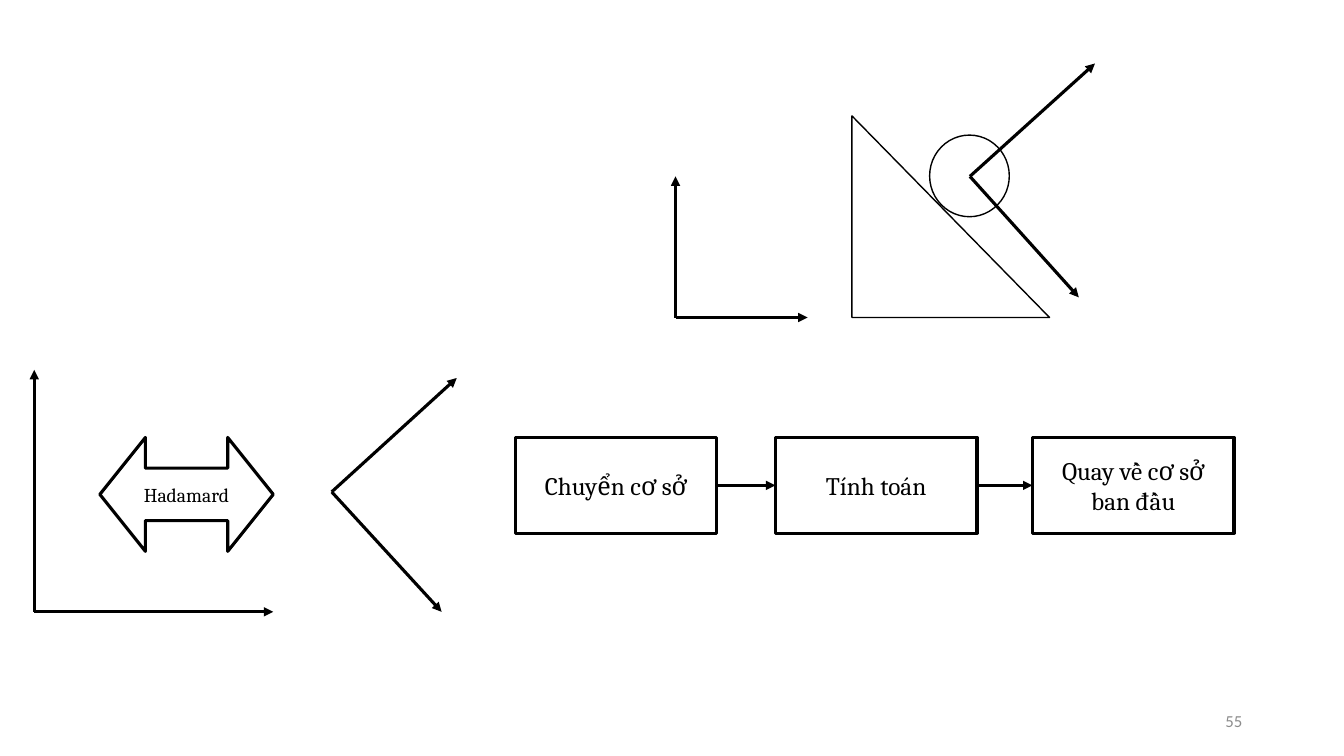
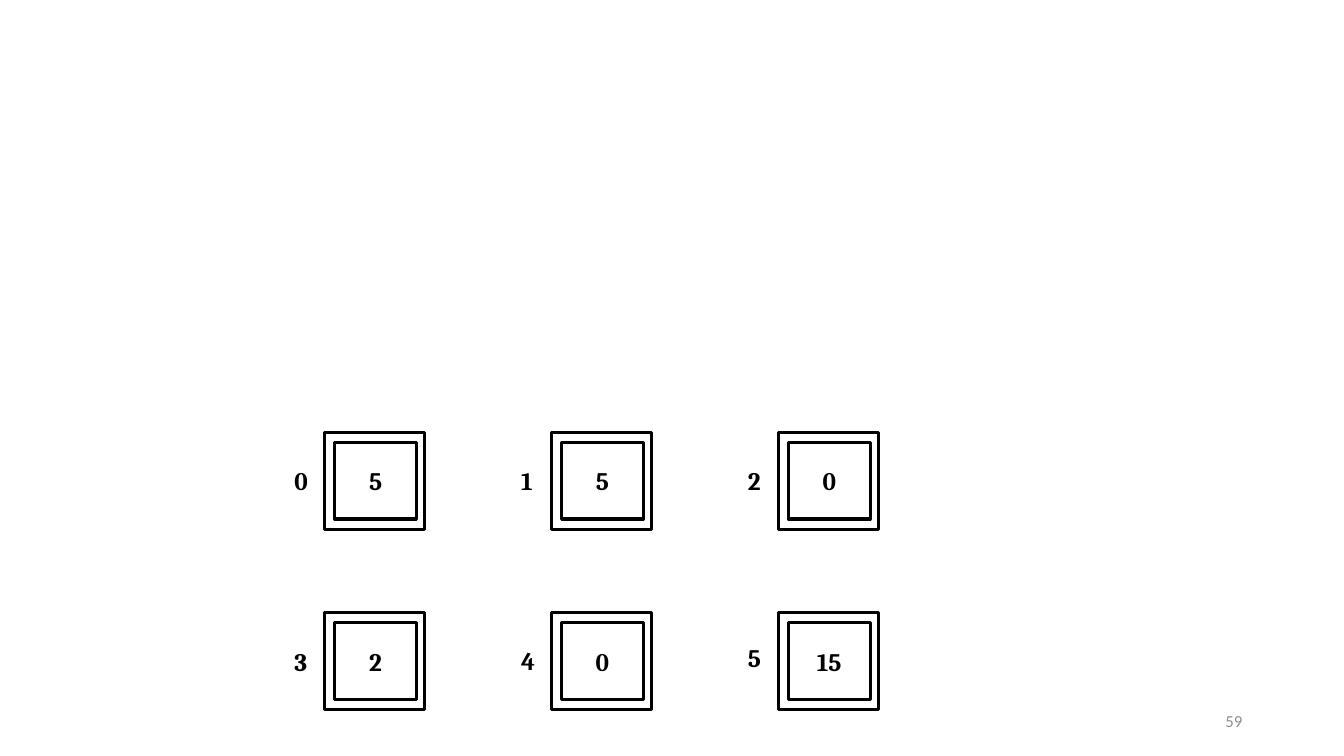
from lxml.etree import SubElement
from pptx import Presentation
from pptx.dml.color import RGBColor
from pptx.enum.shapes import MSO_CONNECTOR, MSO_SHAPE
from pptx.enum.text import MSO_ANCHOR, PP_ALIGN
from pptx.oxml.ns import qn
from pptx.util import Inches, Pt

COLORS = {"ink": "000000", "paper": "FFFFFF", "page": "8C8C8C"}
BODY_FONT, PAGE_FONT = "Cambria", "Calibri"
HEAVY, THIN = 2.25, 1

AXES = [
    ((0.34, 6.07), [(0, -2.4), (2.37, 0)]),
    ((3.29, 4.88), [(1.24, -1.13), (1.09, 1.19)]),
    ((6.7, 3.15), [(0, -1.4), (1.31, 0)]),
    ((9.62, 1.75), [(1.24, -1.12), (1.08, 1.2)]),
]
STEPS = [(5.11, "Chuyển cơ sở"), (7.69, "Tính toán"), (10.24, "Quay về cơ sở ban đầu")]
STEP_TOP, STEP_WIDTH, STEP_HEIGHT = 4.34, 2, 0.95

REGISTERS = [("5", 0.28), ("5", 0.28), ("0", 0.28), ("2", 0.28), ("0", 0.27), ("15", 0.24)]
GRID_COLUMNS = 3
GRID_LEFT, GRID_TOP = 3.22, 4.29
COLUMN_PITCH, ROW_PITCH = 2.25, 1.79
FRAME_WIDTH, FRAME_HEIGHT = 0.99, 0.96
CELL_WIDTH, CELL_HEIGHT, CELL_INSET = 0.81, 0.76, 0.1
LABEL_SHIFT, LABEL_HEIGHT = 0.4, 0.4


def rgb(name):
    return RGBColor.from_string(COLORS[name])


def write(shape, text, size=18, bold=False, align=PP_ALIGN.CENTER,
          anchor=MSO_ANCHOR.MIDDLE, font=BODY_FONT, color="ink"):
    frame = shape.text_frame
    frame.word_wrap = True
    frame.vertical_anchor = anchor
    paragraph = frame.paragraphs[0]
    paragraph.text = text
    paragraph.alignment = align
    paragraph.font.name = font
    paragraph.font.size = Pt(size)
    paragraph.font.bold = bold
    paragraph.font.color.rgb = rgb(color)


def add_outline(slide, kind, left, top, width, height, weight=HEAVY, filled=True):
    shape = slide.shapes.add_shape(kind, *map(Inches, (left, top, width, height)))
    shape.shadow.inherit = False
    if filled:
        shape.fill.solid()
        shape.fill.fore_color.rgb = rgb("paper")
    else:
        shape.fill.background()
    shape.line.color.rgb = rgb("ink")
    shape.line.width = Pt(weight)
    return shape


def add_label(slide, text, left, top, width, height, **style):
    box = slide.shapes.add_textbox(*map(Inches, (left, top, width, height)))
    write(box, text, **style)


def add_arrow(slide, start=(0, 0), end=(0, 0)):
    arrow = slide.shapes.add_connector(
        MSO_CONNECTOR.STRAIGHT, *map(Inches, (*start, *end)))
    arrow.line.color.rgb = rgb("ink")
    arrow.line.width = Pt(HEAVY)
    SubElement(arrow.line._get_or_add_ln(), qn("a:tailEnd"), type="triangle")
    SubElement(arrow._element.spPr, qn("a:effectLst"))
    return arrow


def add_page(deck, number):
    slide = deck.slides.add_slide(deck.slide_layouts[6])
    add_label(slide, number, 9.42, 6.95, 3, 0.4, size=12,
              align=PP_ALIGN.RIGHT, font=PAGE_FONT, color="page")
    return slide


def build_basis_change(deck):
    slide = add_page(deck, "55")
    for (x, y), directions in AXES:
        for dx, dy in directions:
            add_arrow(slide, (x, y), (x + dx, y + dy))

    hadamard = add_outline(slide, MSO_SHAPE.LEFT_RIGHT_ARROW, 0.99, 4.34, 1.72, 1.13)
    hadamard.adjustments[0] = 0.46
    hadamard.adjustments[1] = 0.4
    write(hadamard, "Hadamard", size=14)

    add_outline(slide, MSO_SHAPE.RIGHT_TRIANGLE, 8.45, 1.15, 1.96, 2, THIN)
    add_outline(slide, MSO_SHAPE.OVAL, 9.22, 1.34, 0.79, 0.81, THIN, filled=False)

    steps = []
    for left, text in STEPS:
        step = add_outline(slide, MSO_SHAPE.RECTANGLE, left, STEP_TOP,
                           STEP_WIDTH, STEP_HEIGHT)
        write(step, text)
        steps.append(step)
    for before, after in zip(steps, steps[1:]):
        arrow = add_arrow(slide)
        arrow.begin_connect(before, 3)
        arrow.end_connect(after, 1)


def build_registers(deck):
    slide = add_page(deck, "59")
    for index, (value, label_drop) in enumerate(REGISTERS):
        row, column = divmod(index, GRID_COLUMNS)
        left = GRID_LEFT + column * COLUMN_PITCH
        top = GRID_TOP + row * ROW_PITCH
        add_outline(slide, MSO_SHAPE.RECTANGLE, left, top, FRAME_WIDTH, FRAME_HEIGHT)
        cell = add_outline(slide, MSO_SHAPE.RECTANGLE, left + CELL_INSET,
                           top + CELL_INSET, CELL_WIDTH, CELL_HEIGHT)
        write(cell, value, bold=True)
        add_label(slide, str(index), left - LABEL_SHIFT, top + label_drop,
                  CELL_WIDTH, LABEL_HEIGHT, bold=True,
                  align=PP_ALIGN.LEFT, anchor=MSO_ANCHOR.TOP)


def main():
    deck = Presentation()
    deck.slide_width, deck.slide_height = Inches(13.33), Inches(7.5)
    build_basis_change(deck)
    build_registers(deck)
    deck.save("out.pptx")


if __name__ == "__main__":
    main()
